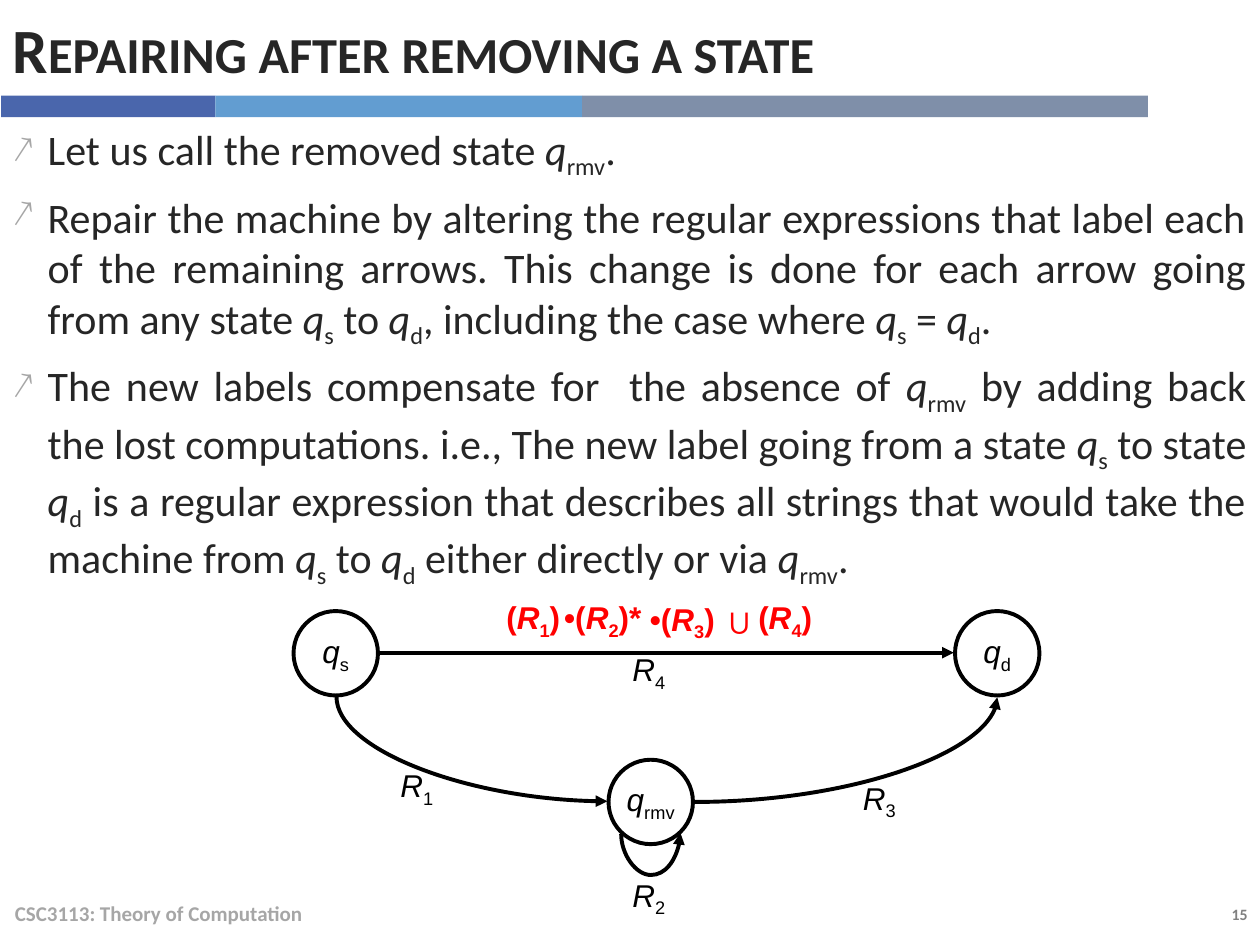
import pptx
import pptx.dml.color
import pptx.enum.shapes
import pptx.enum.text
import pptx.oxml
import pptx.oxml.ns
import pptx.util
from pptx.util import Inches, Pt

RGBColor = pptx.dml.color.RGBColor
MSO_SHAPE = pptx.enum.shapes.MSO_SHAPE
MSO_CONNECTOR = pptx.enum.shapes.MSO_CONNECTOR
PP_ALIGN = pptx.enum.text.PP_ALIGN
MSO_ANCHOR = pptx.enum.text.MSO_ANCHOR
MSO_AUTO_SIZE = pptx.enum.text.MSO_AUTO_SIZE
qn = pptx.oxml.ns.qn

BLACK = RGBColor(0, 0, 0)
INK = RGBColor(0x26, 0x26, 0x26)
RED = RGBColor(0xFF, 0, 0)
GREY = RGBColor(0x80, 0x80, 0x80)
PALE_GREY = RGBColor(0xA6, 0xA6, 0xA6)
NAVY = RGBColor(0x4A, 0x66, 0xAC)
SKY = RGBColor(0x62, 0x9D, 0xD1)
SLATE = RGBColor(0x7F, 0x8F, 0xA9)

# Between tildes stands a variable: italic name|subscript
TITLE = "Repairing after removing a state"
POINTS = [
    "Let us call the removed state ~q|rmv~.",
    "Repair the machine by altering the regular expressions that label each of the "
    "remaining arrows. This change is done for each arrow going from any state ~q|s~ "
    "to ~q|d~, including the case where ~q|s~ = ~q|d~.",
    "The new labels compensate for  the absence of ~q|rmv~ by adding back the lost "
    "computations. i.e., The new label going from a state ~q|s~ to state ~q|d~ is a "
    "regular expression that describes all strings that would take the machine from "
    "~q|s~ to ~q|d~ either directly or via ~q|rmv~.",
]
COURSE = "CSC3113: Theory of Computation"
PAGE = "15"

BARS = [(1.70, NAVY), (2.91, SKY), (4.49, SLATE)]  # width, colour
STATE_SIZE = 0.67
STATES = [("~q|s~", 2.33, 4.85), ("~q|rmv~", 4.83, 6.03), ("~q|d~", 7.58, 4.85)]
# preset, unrotated left, top, width, height, rotation, flipped, arrow end, bend
CURVES = [
    ("curvedConnector2", 3.33, 4.87, 0.83, 2.15, 270, True, "tailEnd", None),
    ("curvedConnector2", 6.30, 4.75, 0.83, 2.40, 90, False, "headEnd", None),
    ("curvedConnector3", 5.16, 6.38, 0.01, 0.47, 90, False, "headEnd", 3400000),
]
ARROW_LABELS = [("~R|4~", 4.92, 5.11), ("~R|2~", 4.92, 6.90),
                ("~R|1~", 3.08, 6.03), ("~R|3~", 6.75, 6.13)]
NEW_LABEL = [  # text, left, top, width, size
    ("(~R|1~)", 3.92, 4.70, 0.92, 18),
    ("•(~R|2~)*", 4.38, 4.70, 1.00, 18),
    ("•(~R|3~)", 5.06, 4.71, 0.82, 18),
    ("(~R|4~)", 5.92, 4.70, 0.67, 18),
    ("∪", 5.67, 4.71, 0.42, 20),
]


def add_run(paragraph, text, size, font, color, **formats):
    run = paragraph.add_run()
    run.text = text
    run.font.color.rgb = color
    for name, value in {"size": Pt(size), "name": font, **formats}.items():
        setattr(run.font, name, value)
    return run


def write(paragraph, marked, size, font, color, **formats):
    """Fill a paragraph, turning ~name|sub~ into italic name and subscript."""
    style = (size, font, color)
    for index, part in enumerate(marked.split("~")):
        if index % 2:
            name, subscript = part.split("|")
            add_run(paragraph, name, *style, italic=True, **formats)
            low = add_run(paragraph, subscript, *style, **formats)
            low.font._element.set("baseline", "-25000")
        elif part:
            add_run(paragraph, part, *style, **formats)


def add_text(slide, marked, box, size, font, color, align=PP_ALIGN.LEFT,
             anchor=MSO_ANCHOR.TOP, **formats):
    frame = slide.shapes.add_textbox(*map(Inches, box)).text_frame
    frame.word_wrap = True
    frame.vertical_anchor = anchor
    frame.paragraphs[0].alignment = align
    write(frame.paragraphs[0], marked, size, font, color, **formats)


def add_title(slide):
    title = slide.shapes.title
    place = {"left": 0, "top": 0, "width": 9.1, "height": 0.76}
    for name, value in place.items():
        setattr(title, name, Inches(value))
    frame = title.text_frame
    frame.auto_size = MSO_AUTO_SIZE.NONE
    frame.vertical_anchor = MSO_ANCHOR.MIDDLE
    frame.paragraphs[0].alignment = PP_ALIGN.LEFT
    run = add_run(frame.paragraphs[0], TITLE, 36, "Calibri", INK, bold=True)
    run.font._element.set("cap", "small")


def add_bars(slide):
    left = 0.01
    for width, color in BARS:
        bar = slide.shapes.add_shape(
            MSO_SHAPE.RECTANGLE, *map(Inches, (left, 0.76, width, 0.17)))
        bar.shadow.inherit = False
        bar.fill.solid()
        bar.fill.fore_color.rgb = color
        bar.line.fill.background()
        left += width


def add_points(slide):
    frame = slide.shapes.add_textbox(*map(Inches, (0, 0.93, 9.99, 6.11))).text_frame
    frame.word_wrap = True
    for index, point in enumerate(POINTS):
        paragraph = frame.add_paragraph() if index else frame.paragraphs[0]
        paragraph.alignment = PP_ALIGN.JUSTIFY
        paragraph.space_before = Pt(6)
        write(paragraph, point, 24, "Calibri", INK)
        properties = paragraph._p.get_or_add_pPr()
        properties.set("marL", str(Inches(0.28)))
        properties.set("indent", str(-Inches(0.28)))
        color = properties.makeelement(qn("a:buClr"), {})
        color.append(color.makeelement(qn("a:srgbClr"), {"val": str(PALE_GREY)}))
        properties.append(color)
        for tag, attributes in (("a:buSzPct", {"val": "90000"}),
                                ("a:buChar", {"char": "↗"})):
            properties.append(properties.makeelement(qn(tag), attributes))


def add_state(slide, name, left, top):
    state = slide.shapes.add_shape(
        MSO_SHAPE.OVAL, *map(Inches, (left, top, STATE_SIZE, STATE_SIZE)))
    state.shadow.inherit = False
    state.fill.background()
    state.line.color.rgb = BLACK
    state.line.width = Pt(2.25)
    frame = state.text_frame
    frame.word_wrap = False
    frame.vertical_anchor = MSO_ANCHOR.MIDDLE
    frame.paragraphs[0].alignment = PP_ALIGN.CENTER
    write(frame.paragraphs[0], name, 18, "Arial", BLACK)


def add_arrow(slide, kind, start, end, arrow_end):
    arrow = slide.shapes.add_connector(kind, *map(Inches, start + end))
    arrow.line.color.rgb = BLACK
    arrow.line.width = Pt(2.25)
    line = arrow.line._get_or_add_ln()
    line.append(line.makeelement(qn("a:" + arrow_end), {"type": "triangle"}))
    properties = arrow._element.spPr
    properties.append(properties.makeelement(qn("a:effectLst"), {}))
    return properties


def add_curve(slide, preset, left, top, width, height, rotation, flipped, arrow_end, bend):
    properties = add_arrow(slide, MSO_CONNECTOR.CURVE, (left, top),
                           (left + width, top + height), arrow_end)
    frame = properties.find(qn("a:xfrm"))
    frame.set("rot", str(rotation * 60000))
    if flipped:
        frame.set("flipH", "1")
    geometry = properties.find(qn("a:prstGeom"))
    geometry.set("prst", preset)
    if bend:
        guides = geometry.find(qn("a:avLst"))
        guides.append(guides.makeelement(
            qn("a:gd"), {"name": "adj1", "fmla": f"val {bend}"}))


def main():
    deck = pptx.Presentation()
    deck.slide_width, deck.slide_height = Inches(10), Inches(7.5)
    slide = deck.slides.add_slide(deck.slide_layouts[5])
    add_text(slide, PAGE, (8.73, 7.13, 1.27, 0.25), 9, "Calibri", GREY,
             PP_ALIGN.RIGHT, bold=True)
    add_bars(slide)
    add_text(slide, COURSE, (0.02, 7.05, 6.7, 0.4), 12, "Calibri", PALE_GREY,
             anchor=MSO_ANCHOR.MIDDLE, bold=True)
    add_title(slide)
    add_points(slide)
    for state in STATES:
        add_state(slide, *state)
    add_arrow(slide, MSO_CONNECTOR.STRAIGHT, (3.02, 5.18), (7.57, 5.18), "tailEnd")
    for curve in CURVES:
        add_curve(slide, *curve)
    for label, left, top in ARROW_LABELS:
        add_text(slide, label, (left, top, 0.67, 0.4), 18, "Arial", BLACK)
    for label, left, top, width, size in NEW_LABEL:
        add_text(slide, label, (left, top, width, 0.4), size, "Arial", RED, bold=True)
    deck.save("out.pptx")


if __name__ == "__main__":
    main()
